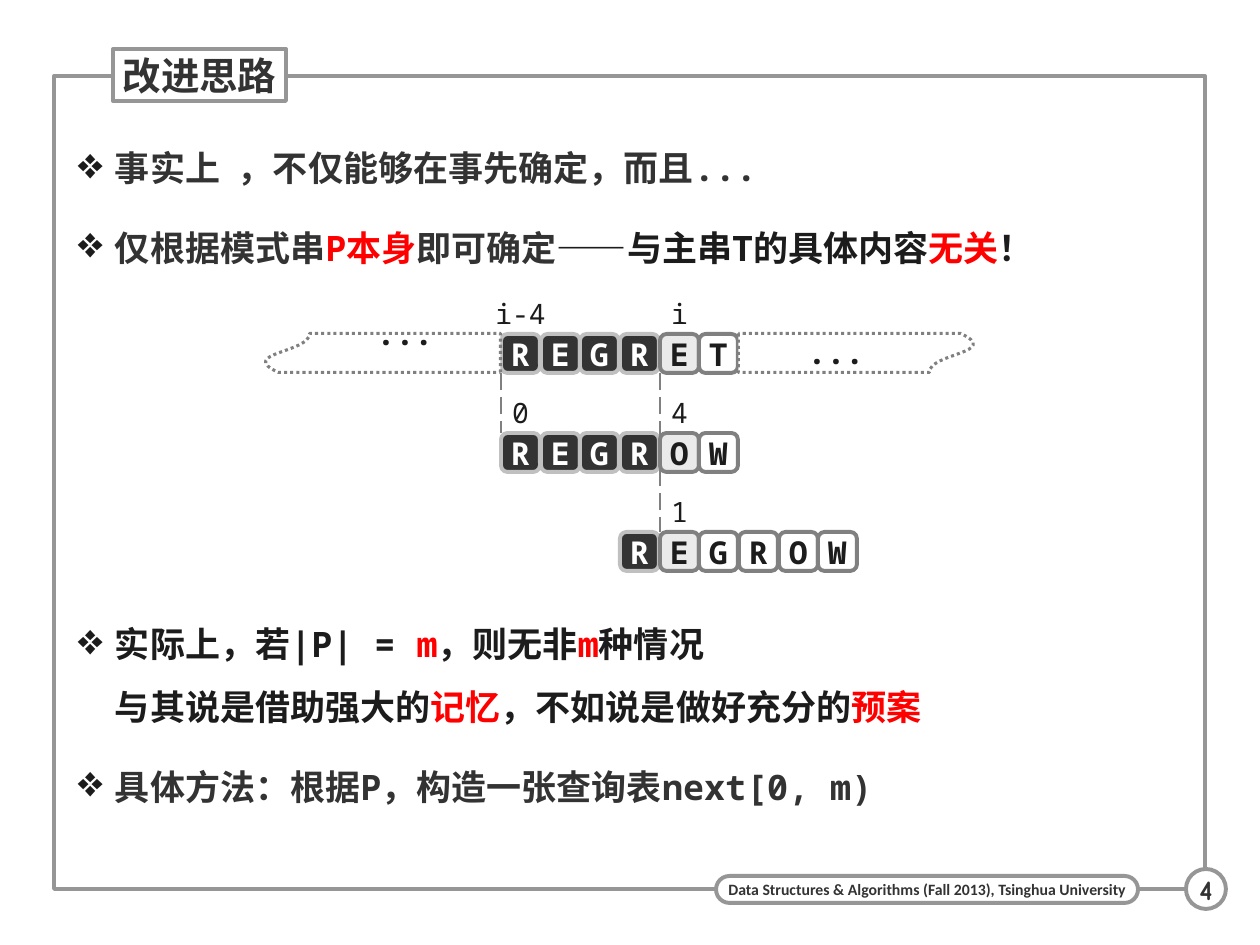
from dataclasses import dataclass

import pptx
import pptx.dml.color
import pptx.enum.dml
import pptx.enum.shapes
import pptx.enum.text
import pptx.oxml
import pptx.oxml.ns
import pptx.util

SHAPES = pptx.enum.shapes.MSO_SHAPE
DASHES = pptx.enum.dml.MSO_LINE
MONO, CJK = "Noto Sans Mono", "Noto Sans CJK SC"
WHITE, BLACK, DARK, RED = "FFFFFF", "1C1C1C", "333333", "FF0000"
FRAME_GRAY, EDGE_GRAY, PALE_EDGE, PALE_FILL = "969696", "808080", "C0C0C0", "EAEAEA"
NAMESPACE = pptx.oxml.ns.nsdecls("a")
CELL = 39
GRID_LEFT, GRID_TOP, ROW_PITCH = 501, 334, 99


@dataclass
class Box:
    left: int
    top: int
    width: int
    height: int


@dataclass
class TextStyle:
    size: float
    color: str = BLACK
    bold: bool = True
    font: str = MONO


@dataclass
class Span:
    text: str
    color: str = BLACK
    font: str = MONO
    new_line: bool = False


@dataclass
class Bullet:
    spans: list[Span]
    space_before: float = 7


@dataclass
class CellRow:
    row: int
    column: int
    word: str
    matched: int


@dataclass
class IndexLabel:
    text: str
    row: int
    column: int


@dataclass
class TornEnd:
    """A dotted continuation of the text string and its dots."""
    left: int
    rotation: int
    dots: Box


def px(length: int) -> int:
    return round(length * 914400 / 126)


def rgb(color: str) -> pptx.dml.color.RGBColor:
    return pptx.dml.color.RGBColor.from_string(color)


def column_left(column: int) -> int:
    return GRID_LEFT + (column * 119 + 1) // 3


def row_top(row: int) -> int:
    return GRID_TOP + row * ROW_PITCH


def emus(box: Box) -> list[int]:
    return [px(length) for length in (box.left, box.top, box.width, box.height)]


def format_run(run, style: TextStyle) -> None:
    run.font.size = pptx.util.Pt(style.size)
    run.font.bold = style.bold
    run.font.name = style.font
    run.font.color.rgb = rgb(style.color)
    east_asian = pptx.oxml.parse_xml(f'<a:ea {NAMESPACE} typeface="{CJK}"/>')
    run._r.get_or_add_rPr().append(east_asian)


def clear_margins(frame) -> None:
    frame.margin_left = frame.margin_right = frame.margin_top = frame.margin_bottom = 0


def write_centered(shape, text: str, style: TextStyle) -> None:
    frame = shape.text_frame
    frame.text = text
    frame.word_wrap = False
    frame.vertical_anchor = pptx.enum.text.MSO_ANCHOR.MIDDLE
    clear_margins(frame)
    frame.paragraphs[0].alignment = pptx.enum.text.PP_ALIGN.CENTER
    format_run(frame.paragraphs[0].runs[0], style)


def add_outlined(slide, kind, box: Box, edge: str, fill: str = "", width: float = 2.25):
    shape = slide.shapes.add_shape(kind, *emus(box))
    shape.shadow.inherit = False
    shape.line.color.rgb = rgb(edge)
    shape.line.width = pptx.util.Pt(width)
    if fill:
        shape.fill.solid()
        shape.fill.fore_color.rgb = rgb(fill)
    else:
        shape.fill.background()
    return shape


def add_cells(slide, cells: CellRow) -> None:
    """Draw a word: matched letters dark, the compared letter pale, the rest white."""
    for position, letter in enumerate(cells.word):
        if position < cells.matched:
            fill, edge, ink = DARK, PALE_EDGE, WHITE
        else:
            fill = PALE_FILL if position == cells.matched else WHITE
            edge, ink = EDGE_GRAY, BLACK
        box = Box(column_left(cells.column + position), row_top(cells.row), CELL, CELL)
        shape = add_outlined(slide, SHAPES.ROUNDED_RECTANGLE, box, edge, fill)
        write_centered(shape, letter, TextStyle(18, ink))


def add_index_label(slide, label: IndexLabel) -> None:
    """Centre the label over its cell, in a box wide enough for one line."""
    width = max(CELL, 21 * len(label.text))
    left = column_left(label.column) - (width - CELL) // 2
    box = Box(left, row_top(label.row) - CELL - 1, width, CELL)
    write_centered(slide.shapes.add_textbox(*emus(box)), label.text, TextStyle(16, bold=False))


def add_torn_end(slide, end: TornEnd) -> None:
    box = Box(end.left, 234, CELL, 238)
    shape = add_outlined(slide, SHAPES.FLOWCHART_DOCUMENT, box, EDGE_GRAY, WHITE, 1.75)
    shape.line.dash_style = DASHES.ROUND_DOT
    shape.rotation = end.rotation
    shape._element.spPr.xfrm.set("flipV", "1")
    write_centered(slide.shapes.add_textbox(*emus(end.dots)), "...", TextStyle(18))


def add_guide(slide, column: int, last_row: int) -> None:
    x = px(column_left(column))
    connector = slide.shapes.add_connector(
        pptx.enum.shapes.MSO_CONNECTOR.STRAIGHT,
        x, px(row_top(0) + CELL), x, px(row_top(last_row)))
    connector.line.color.rgb = rgb(EDGE_GRAY)
    connector.line.width = pptx.util.Pt(1.25)
    connector.line.dash_style = DASHES.LONG_DASH
    connector._element.spPr.append(pptx.oxml.parse_xml(f"<a:effectLst {NAMESPACE}/>"))


def add_bullet_marks(paragraph) -> None:
    properties = paragraph._p.get_or_add_pPr()
    properties.set("marL", str(px(37)))
    properties.set("indent", str(-px(37)))
    for xml in (f'<a:buClr {NAMESPACE}><a:srgbClr val="{BLACK}"/></a:buClr>',
                f'<a:buSzPct {NAMESPACE} val="125000"/>',
                f'<a:buChar {NAMESPACE} char="❖"/>',
                f'<a:tabLst {NAMESPACE}><a:tab pos="{px(160)}" algn="l"/></a:tabLst>'):
        properties.append(pptx.oxml.parse_xml(xml))


def add_bullets(slide, box: Box, bullets: list[Bullet]) -> None:
    frame = slide.shapes.add_textbox(*emus(box)).text_frame
    frame.word_wrap = True
    clear_margins(frame)
    for index, bullet in enumerate(bullets):
        paragraph = frame.add_paragraph() if index else frame.paragraphs[0]
        add_bullet_marks(paragraph)
        paragraph.line_spacing = pptx.util.Pt(36)
        paragraph.space_before = pptx.util.Pt(bullet.space_before)
        paragraph.space_after = pptx.util.Pt(2.5)
        for span in bullet.spans:
            if span.new_line:
                paragraph.add_line_break()
            run = paragraph.add_run()
            run.text = span.text
            format_run(run, TextStyle(20, span.color, font=span.font))


BULLETS = [
    Bullet([Span("事实上\t，不仅能够在事先确定，而且...", DARK)], space_before=0),
    Bullet([Span("仅根据模式串", DARK), Span("P本身", RED), Span("即可确定", DARK),
            Span("——", font=CJK), Span("与主串T的具体内容"), Span("无关", RED), Span("！")]),
    Bullet([Span("实际上，若|P| = "), Span("m", RED), Span("，则无非"), Span("m", RED),
            Span("种情况"), Span("与其说是借助强大的", new_line=True), Span("记忆", RED),
            Span("，不如说是做好充分的"), Span("预案", RED)], space_before=188),
    Bullet([Span("具体方法：根据P，构造一张查询表next[0, m)", DARK)]),
]
TEXT_ROW = CellRow(0, 0, "REGRET", 4)
PATTERN_ROWS = [CellRow(1, 0, "REGROW", 4), CellRow(2, 3, "REGROW", 1)]
TORN_ENDS = [TornEnd(838, 90, Box(796, 332, 80, CELL)),
             TornEnd(362, 270, Box(365, 313, 80, CELL))]
LABELS = [IndexLabel("i-4", 0, 0), IndexLabel("i", 0, 4), IndexLabel("0", 1, 0),
          IndexLabel("4", 1, 4), IndexLabel("1", 2, 4)]


def main() -> None:
    presentation = pptx.Presentation()
    presentation.slide_width, presentation.slide_height = px(1260), px(945)
    slide = presentation.slides.add_slide(presentation.slide_layouts[6])

    add_outlined(slide, SHAPES.RECTANGLE, Box(54, 76, 1151, 813), FRAME_GRAY)
    footer = add_outlined(slide, SHAPES.ROUNDED_RECTANGLE, Box(716, 876, 422, 27), FRAME_GRAY, WHITE)
    footer.adjustments[0] = 0.5
    write_centered(footer, "Data Structures & Algorithms (Fall 2013), Tsinghua University",
                   TextStyle(9, DARK, font="Calibri"))
    page = add_outlined(slide, SHAPES.OVAL, Box(1186, 869, 40, 40), FRAME_GRAY, WHITE)
    write_centered(page, "4", TextStyle(16, DARK, font="Comic Neue"))
    title = add_outlined(slide, SHAPES.RECTANGLE, Box(113, 49, 173, 52), FRAME_GRAY, WHITE)
    write_centered(title, "改进思路", TextStyle(22, DARK))

    add_bullets(slide, Box(78, 126, 1127, 690), BULLETS)
    add_cells(slide, TEXT_ROW)
    for end in TORN_ENDS:
        add_torn_end(slide, end)
    add_guide(slide, 4, 2)
    add_guide(slide, 0, 1)
    for cells in PATTERN_ROWS:
        add_cells(slide, cells)
    for label in LABELS:
        add_index_label(slide, label)
    presentation.save("out.pptx")


if __name__ == "__main__":
    main()
